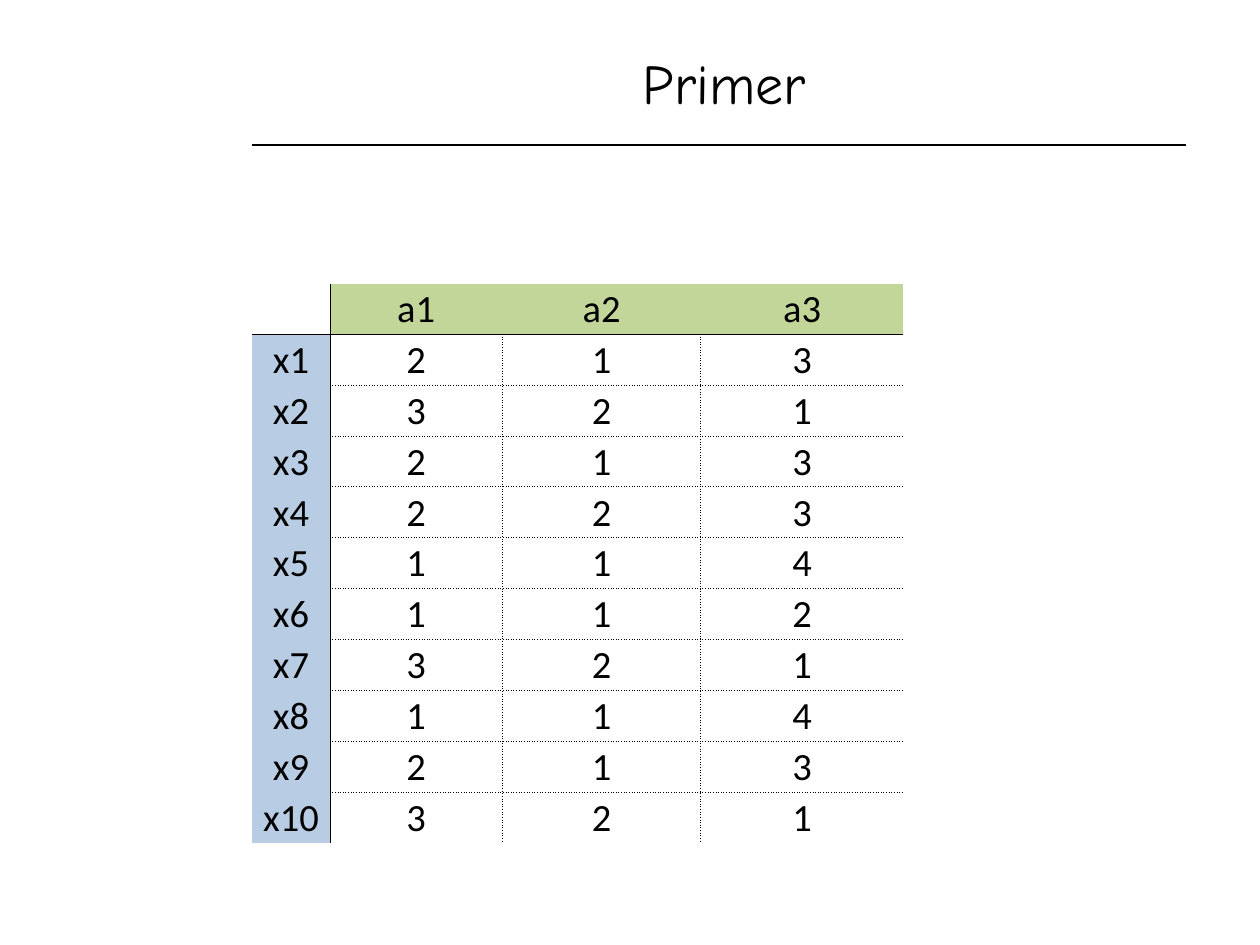
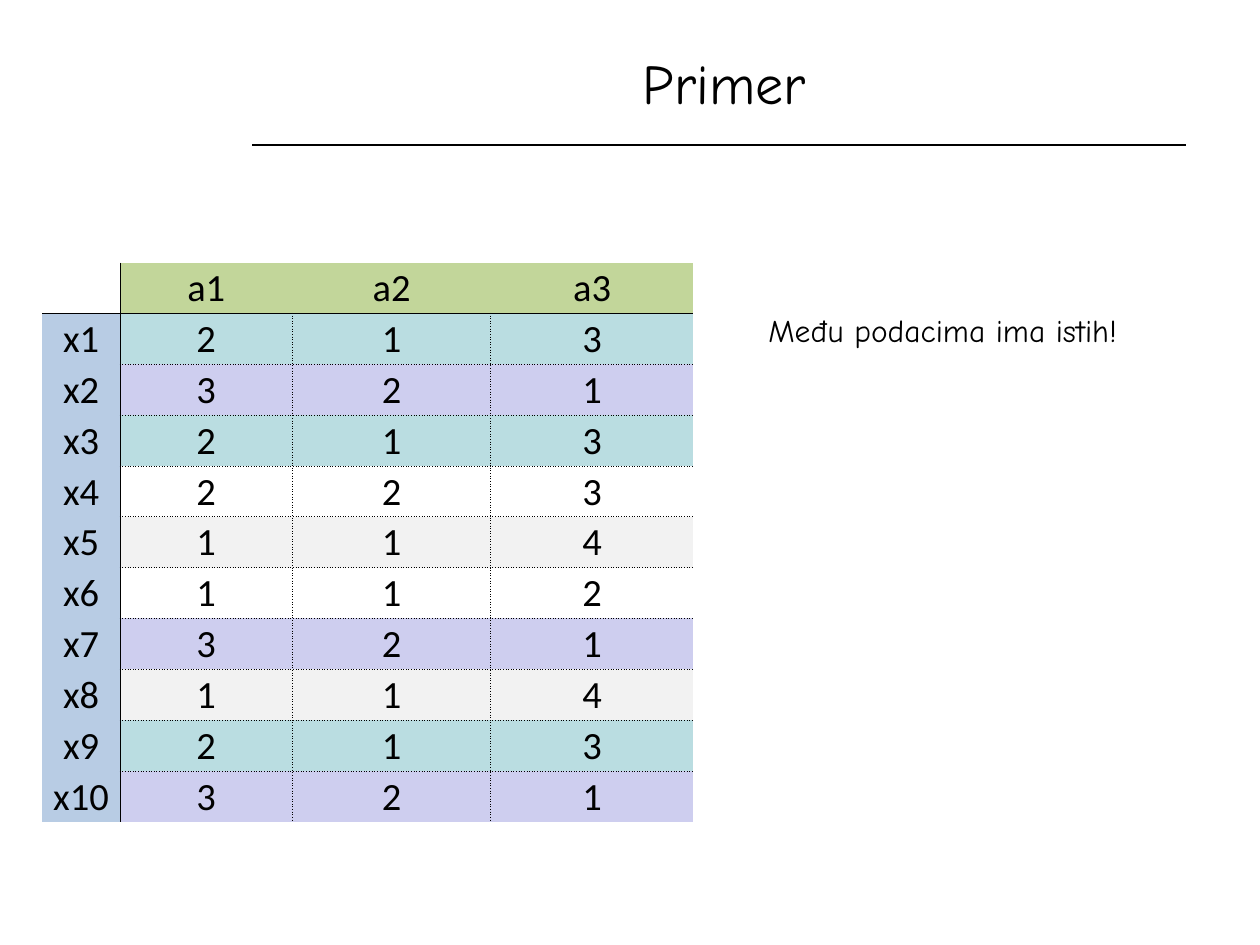
from collections import Counter

from lxml import etree
from pptx import Presentation
from pptx.dml.color import RGBColor
from pptx.enum import shapes, text
from pptx.oxml import ns
from pptx.util import Pt

BLACK = RGBColor(0x00, 0x00, 0x00)
WHITE = RGBColor(0xFF, 0xFF, 0xFF)
GREEN = RGBColor(0xC2, 0xD6, 0x9A)
BLUE = RGBColor(0xB8, 0xCC, 0xE4)
TEAL = RGBColor(0xBA, 0xDD, 0xE1)
LAVENDER = RGBColor(0xCE, 0xCE, 0xEF)
GREY = RGBColor(0xF2, 0xF2, 0xF2)

ATTRIBUTES = ["a1", "a2", "a3"]
OBJECTS = [(2, 1, 3), (3, 2, 1), (2, 1, 3), (2, 2, 3), (1, 1, 4),
           (1, 1, 2), (3, 2, 1), (1, 1, 4), (2, 1, 3), (3, 2, 1)]
COLUMN_WIDTHS = [44.6, 98.5, 113.4, 115.8]
ROW_HEIGHT = 29.06
NO_STYLE = "{2D5ABB26-0587-4C30-8999-92F81FD0307C}"


def apply(target, values):
    for name, value in values.items():
        setattr(target, name, value)


def color_duplicates(rows):
    """Give each set of equal rows its own colour, in order of appearance."""
    repeated = [row for row, count in Counter(rows).items() if count > 1]
    return dict(zip(repeated, [TEAL, LAVENDER, GREY]))


def edge_dash(row, column, side):
    """Return the dash of a cell edge, or None where no line is drawn."""
    row_edge = row - (side == "T")
    column_edge = column - (side == "L")
    if side in "LR":
        if column_edge == 0:
            return "solid"
        inside = row > 0 and 0 < column_edge < len(ATTRIBUTES)
    else:
        if row_edge == 0:
            return "solid"
        inside = column > 0 and 0 < row_edge < len(OBJECTS)
    return "dot" if inside else None


class Slides:
    """Holds the deck, its shared style and the slide being filled."""

    title_format = {"name": "Comic Neue", "size": Pt(32)}
    note_format = {"name": "Comic Neue", "size": Pt(18)}
    cell_format = {"name": "Calibri", "size": Pt(22)}
    cell_layout = {"margin_left": Pt(0.72), "margin_right": Pt(0.72),
                   "margin_top": Pt(0.72), "margin_bottom": Pt(0),
                   "vertical_anchor": text.MSO_ANCHOR.MIDDLE}

    def __init__(self):
        self.deck = Presentation()
        apply(self.deck, {"slide_width": Pt(720), "slide_height": Pt(540)})
        self.page = None

    def start(self, title):
        self.page = self.deck.slides.add_slide(self.deck.slide_layouts[6])
        backdrop = self.page.background.fill
        backdrop.solid()
        backdrop.fore_color.rgb = WHITE
        self.line(144, 82.8, 677.5, 82.8)
        self.text(title, (144, 20.16, 540, 54), self.title_format,
                  text.PP_ALIGN.CENTER, text.MSO_ANCHOR.MIDDLE)

    def line(self, x1, y1, x2, y2):
        rule = self.page.shapes.add_connector(
            shapes.MSO_CONNECTOR.STRAIGHT, Pt(x1), Pt(y1), Pt(x2), Pt(y2))
        rule.line.color.rgb = BLACK
        rule.line.width = Pt(0.75)
        etree.SubElement(rule._element.spPr, ns.qn("a:effectLst"))

    def words(self, para, wording, font_format, align):
        para.alignment = align
        span = para.add_run()
        span.text = wording
        apply(span.font, font_format)
        span.font.color.rgb = BLACK

    def text(self, wording, place, font_format, align=text.PP_ALIGN.LEFT,
             anchor=text.MSO_ANCHOR.TOP):
        box = self.page.shapes.add_textbox(*map(Pt, place))
        apply(box.text_frame, {"word_wrap": True, "vertical_anchor": anchor})
        self.words(box.text_frame.paragraphs[0], wording, font_format, align)

    def borders(self, cell, row, column):
        properties = cell._tc.get_or_add_tcPr()
        for side in "LRTB":
            dash = edge_dash(row, column, side)
            edge = etree.SubElement(properties, ns.qn(f"a:ln{side}"), w=str(Pt(0.5)))
            if dash is None:
                etree.SubElement(edge, ns.qn("a:noFill"))
                continue
            fill = etree.SubElement(edge, ns.qn("a:solidFill"))
            etree.SubElement(fill, ns.qn("a:srgbClr"), val=str(BLACK))
            etree.SubElement(edge, ns.qn("a:prstDash"), val=dash)

    def cell(self, cell, row, column, wording, color):
        apply(cell, self.cell_layout)
        if wording:
            self.words(cell.text_frame.paragraphs[0], wording, self.cell_format,
                       text.PP_ALIGN.CENTER)
        self.borders(cell, row, column)
        if color is None:
            cell.fill.background()
        else:
            cell.fill.solid()
            cell.fill.fore_color.rgb = color

    def data_table(self, left, top, row_colors):
        """Draw the objects; row_colors maps row values to a fill."""
        rows = [["", *ATTRIBUTES]]
        fills = [[None] + [GREEN] * len(ATTRIBUTES)]
        for number, values in enumerate(OBJECTS, 1):
            rows.append([f"x{number}", *map(str, values)])
            fills.append([BLUE] + [row_colors.get(values)] * len(values))
        frame = self.page.shapes.add_table(
            len(rows), len(COLUMN_WIDTHS), Pt(left), Pt(top),
            Pt(sum(COLUMN_WIDTHS)), Pt(ROW_HEIGHT * len(rows)))
        table = frame.table
        apply(table, {"first_row": False, "horz_banding": False})
        table._tbl.tblPr.find(ns.qn("a:tableStyleId")).text = NO_STYLE
        for column, width in zip(table.columns, COLUMN_WIDTHS):
            column.width = Pt(width)
        for row, (wordings, colors) in enumerate(zip(rows, fills)):
            table.rows[row].height = Pt(ROW_HEIGHT)
            for column, (wording, color) in enumerate(zip(wordings, colors)):
                self.cell(table.cell(row, column), row, column, wording, color)


def main():
    slides = Slides()

    slides.start("Primer")
    slides.data_table(144, 162, {})

    slides.start("Primer")
    slides.data_table(24, 150, color_duplicates(OBJECTS))
    slides.text("Među podacima ima istih!", (432, 174, 258, 29), slides.note_format)

    slides.deck.save("out.pptx")


if __name__ == "__main__":
    main()
